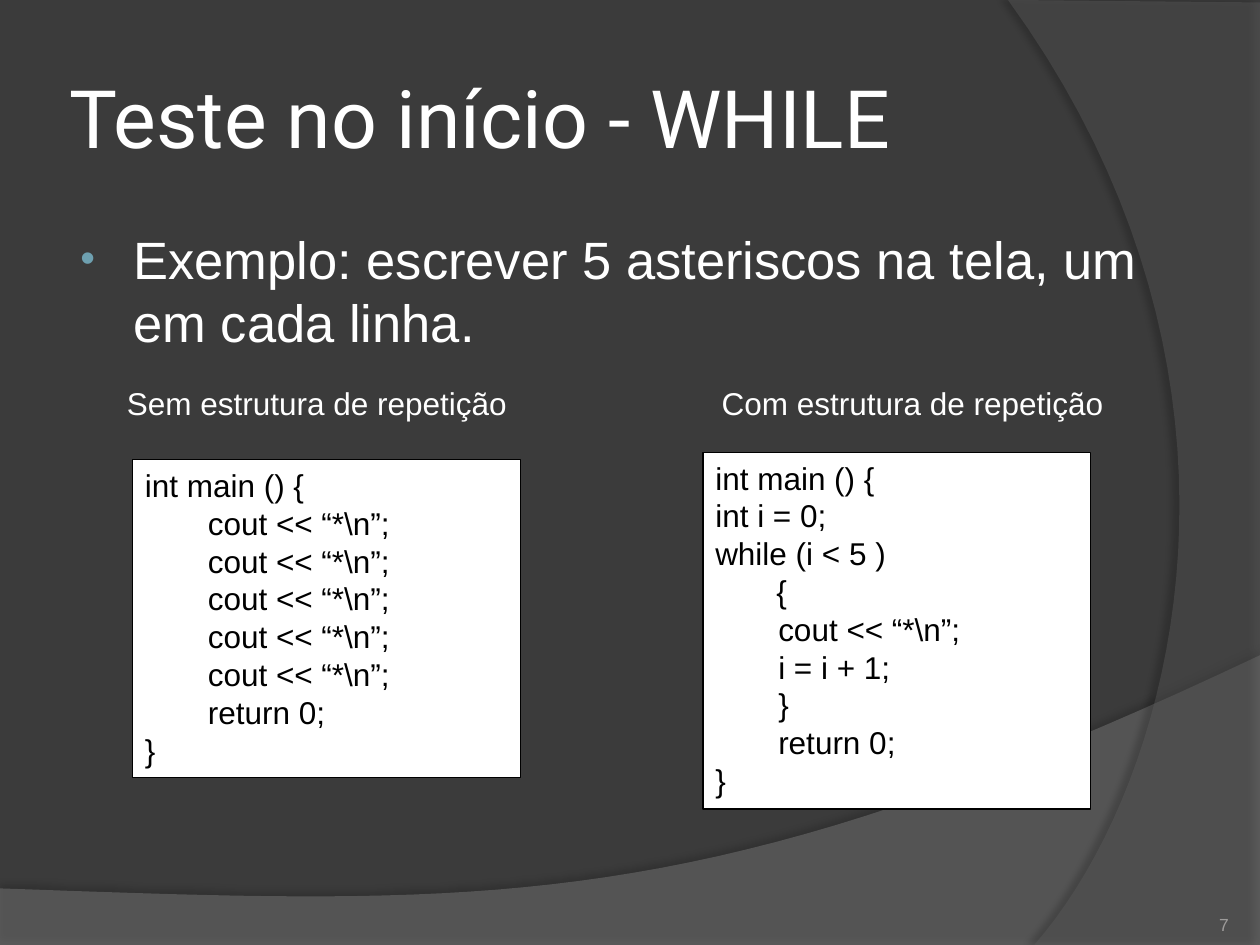
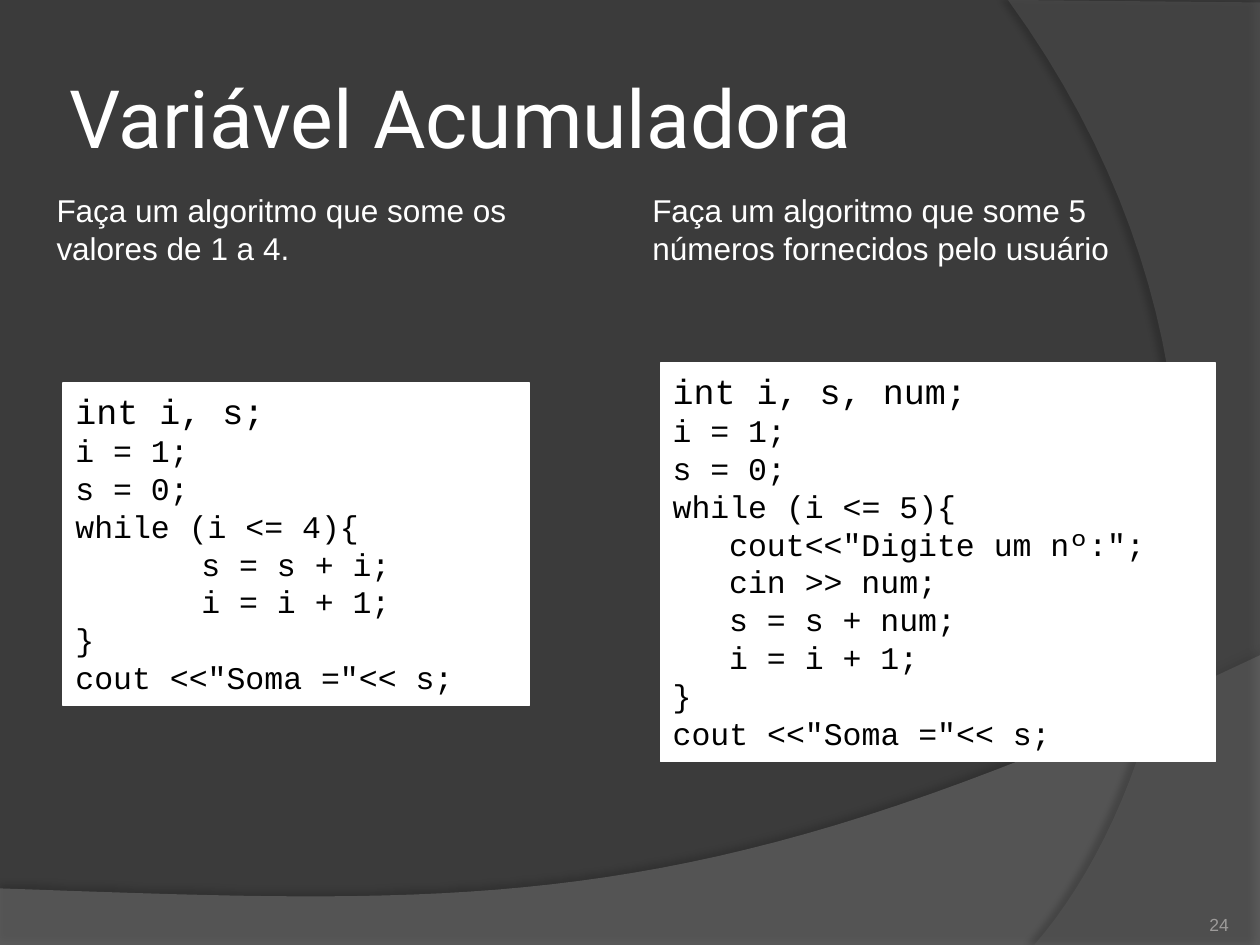
import pptx
import pptx.dml.color
import pptx.enum.shapes
import pptx.enum.text
import pptx.oxml.ns
import pptx.util
from lxml import etree
from pptx.util import Cm, Pt

BACKGROUND, WHITE, BLACK = "3B3B3B", "FFFFFF", "000000"
BULLET, NUMBER = "6EA0B0", "9D9B9A"
SANS, MONO, TITLE = "Arial", "Courier New", "Roboto"
TAB = 1.27
CURVE_STEPS = 40

# Each band: straight corners, then the two controls and the end of a Bézier
# curve (cm), fill, opacity %, and shadow opacity %, distance pt, direction.
BANDS = [
    ([(0, 17.91), (0, 19.05), (25.4, 19.05), (25.4, 13.21)],
     [(14.2, 18.52), (9.93, 18.26), (0, 17.91)], "7F7F7F", 45, (35, 3.5, 270)),
    ([(25.4, 0.05), (25.4, 19.05), (20.85, 19.05)],
     [(23.75, 15.72), (25.86, 7.62), (20.32, 0)], "5E5E5E", 40, (45, 4, 180)),
]

PRINT_STAR = r"cout << “*\n”;"
WITHOUT_LOOP = [(0, "int main () {"), *[(TAB, PRINT_STAR)] * 5,
                (TAB, "return 0;"), (0, "}")]
WITH_LOOP = [(0, "int main () {"), (0, "int i = 0;"), (0, "while (i < 5 )"),
             (1.23, "{"), (TAB, PRINT_STAR), (TAB, "i = i + 1;"), (TAB, "}"),
             (TAB, "return 0;"), (0, "}")]
SUM_TO_FOUR = [(0, "int i, s;"), (0, "i = 1;"), (0, "s = 0;"),
               (0, "while (i <= 4){"), (2 * TAB, "s = s + i;"),
               (2 * TAB, "i = i + 1;"), (0, "}"), (0, 'cout <<"Soma ="<< s;')]
SUM_OF_INPUT = [(0, "int i, s, num;"), (0, "i = 1;"), (0, "s = 0;"),
                (0, "while (i <= 5){"), (1.14, 'cout<<"Digite um nº:";'),
                (1.14, "cin >> num;"), (1.14, "s = s + num;"),
                (1.14, "i = i + 1;"), (0, "}"), (0, 'cout <<"Soma ="<< s;')]


def rgb(color):
    return pptx.dml.color.RGBColor.from_string(color)


def add_xml(parent, tag, **attributes):
    """Append a DrawingML child element."""
    child = etree.SubElement(parent, pptx.oxml.ns.qn("a:" + tag))
    for key, value in attributes.items():
        child.set(key, str(value))
    return child


def set_font(p, size, color, name=SANS):
    p.font.name = name
    p.font.size = Pt(size)
    p.font.color.rgb = rgb(color)


def set_indent(p, left, first=0):
    pPr = p._p.get_or_add_pPr()
    pPr.set("marL", str(Cm(left)))
    pPr.set("indent", str(Cm(first)))
    return pPr


def set_margins(tf, margin):
    tf.margin_left = tf.margin_right = tf.margin_top = tf.margin_bottom = Cm(margin)


def curve(start, control1, control2, end):
    """Points along a cubic Bézier curve, without its start."""
    for step in range(1, CURVE_STEPS + 1):
        t = step / CURVE_STEPS
        weights = ((1 - t) ** 3, 3 * t * (1 - t) ** 2, 3 * t * t * (1 - t), t ** 3)
        yield tuple(sum(w * c for w, c in zip(weights, axis))
                    for axis in zip(start, control1, control2, end))


def add_band(slide, corners, bend, color, opacity, shadow):
    points = [(Cm(x), Cm(y)) for x, y in corners + list(curve(corners[-1], *bend))]
    builder = slide.shapes.build_freeform(*points[0])
    builder.add_line_segments(points[1:], close=True)
    sp = builder.convert_to_shape()
    sp.fill.solid()
    sp.fill.fore_color.rgb = rgb(color)
    sp.line.fill.background()
    sp.shadow.inherit = False
    spPr = sp.element.spPr
    add_xml(spPr.find(".//" + pptx.oxml.ns.qn("a:srgbClr")), "alpha", val=opacity * 1000)
    shade, distance, direction = shadow
    outer = add_xml(spPr.find(pptx.oxml.ns.qn("a:effectLst")), "outerShdw",
                    blurRad=Pt(4), dist=Pt(distance), dir=direction * 60000,
                    algn="ctr", rotWithShape=0)
    add_xml(add_xml(outer, "srgbClr", val=BLACK), "alpha", val=shade * 1000)
    return sp


def decorate(prs, layout, slide):
    """Set the master background and move the bands into the layout."""
    fill = prs.slide_master.background.fill
    fill.solid()
    fill.fore_color.rgb = rgb(BACKGROUND)
    for i, band in enumerate(BANDS):
        sp = add_band(slide, *band)
        sp.element.nvSpPr.cNvPr.set("id", str(20 + i))
        layout.shapes.element.insert(2 + i, sp.element)


def add_text(slide, text, left, top, width, height, size=18, color=WHITE):
    tf = slide.shapes.add_textbox(Cm(left), Cm(top), Cm(width), Cm(height)).text_frame
    tf.word_wrap = True
    p = tf.paragraphs[0]
    p.text = text
    set_font(p, size, color)
    return tf


def add_bullet(slide, text, left, top, width, height):
    p = add_text(slide, text, left, top, width, height, size=30).paragraphs[0]
    p.space_before = Pt(6)
    pPr = set_indent(p, 1.17, -1.07)
    add_xml(add_xml(pPr, "buClr"), "srgbClr", val=BULLET)
    add_xml(pPr, "buSzPct", val=80000)
    add_xml(pPr, "buFont", typeface=SANS)
    add_xml(pPr, "buChar", char="•")


def add_code(slide, lines, left, top, width, height, border=BLACK, font=SANS, first_size=18):
    sp = slide.shapes.add_shape(pptx.enum.shapes.MSO_SHAPE.RECTANGLE,
                                Cm(left), Cm(top), Cm(width), Cm(height))
    sp.shadow.inherit = False
    sp.fill.solid()
    sp.fill.fore_color.rgb = rgb(WHITE)
    sp.line.color.rgb = rgb(border)
    sp.line.width = Pt(0.75)
    tf = sp.text_frame
    tf.word_wrap = True
    tf.auto_size = pptx.enum.text.MSO_AUTO_SIZE.SHAPE_TO_FIT_TEXT
    tf.vertical_anchor = pptx.enum.text.MSO_ANCHOR.TOP
    for i, (indent, line) in enumerate(lines):
        p = tf.add_paragraph() if i else tf.paragraphs[0]
        p.text = line
        p.alignment = pptx.enum.text.PP_ALIGN.LEFT
        set_indent(p, indent)
        set_font(p, 18 if i else first_size, BLACK, font)


def add_slide(prs, layout, title, number):
    slide = prs.slides.add_slide(layout)
    sp = slide.shapes.title
    sp.left, sp.top, sp.width, sp.height = Cm(1.27), Cm(0.76), Cm(20.75), Cm(3.18)
    tf = sp.text_frame
    tf.text = title
    tf.auto_size = pptx.enum.text.MSO_AUTO_SIZE.NONE
    tf.vertical_anchor = pptx.enum.text.MSO_ANCHOR.MIDDLE
    set_margins(tf, 0.13)
    tf.paragraphs[0].alignment = pptx.enum.text.PP_ALIGN.LEFT
    set_font(tf.paragraphs[0], 46, WHITE, TITLE)

    tf = add_text(slide, str(number), 22.66, 17.83, 2.11, 1.02, size=10, color=NUMBER)
    set_margins(tf, 0)
    tf.vertical_anchor = pptx.enum.text.MSO_ANCHOR.BOTTOM
    tf.paragraphs[0].alignment = pptx.enum.text.PP_ALIGN.RIGHT
    return slide


def main():
    prs = pptx.Presentation()
    prs.slide_width, prs.slide_height = Cm(25.4), Cm(19.05)
    layout = prs.slide_layouts[5]

    slide = add_slide(prs, layout, "Teste no início - WHILE", 7)
    decorate(prs, layout, slide)
    add_bullet(slide, "Exemplo: escrever 5 asteriscos na tela, um em cada linha.",
               1.27, 4.45, 22.94, 3.18)
    add_text(slide, "Sem estrutura de repetição", 2.31, 7.62, 9.19, 1.02)
    add_text(slide, "Com estrutura de repetição", 14.3, 7.62, 9.19, 1.02)
    add_code(slide, WITHOUT_LOOP, 2.67, 9.27, 7.82, 6.4)
    add_code(slide, WITH_LOOP, 14.17, 9.12, 7.82, 7.19)

    slide = add_slide(prs, layout, "Variável Acumuladora", 24)
    add_text(slide, "Faça um algoritmo que some os valores de 1 a 4.",
             0.89, 3.73, 10.21, 1.8)
    add_text(slide, "Faça um algoritmo que some 5 números fornecidos pelo usuário",
             12.9, 3.73, 11.86, 1.8)
    add_code(slide, SUM_TO_FOUR, 1.27, 7.72, 9.4, 6.5, WHITE, MONO, 20)
    add_code(slide, SUM_OF_INPUT, 13.31, 7.32, 11.2, 8.03, WHITE, MONO, 20)

    prs.save("out.pptx")


if __name__ == "__main__":
    main()
